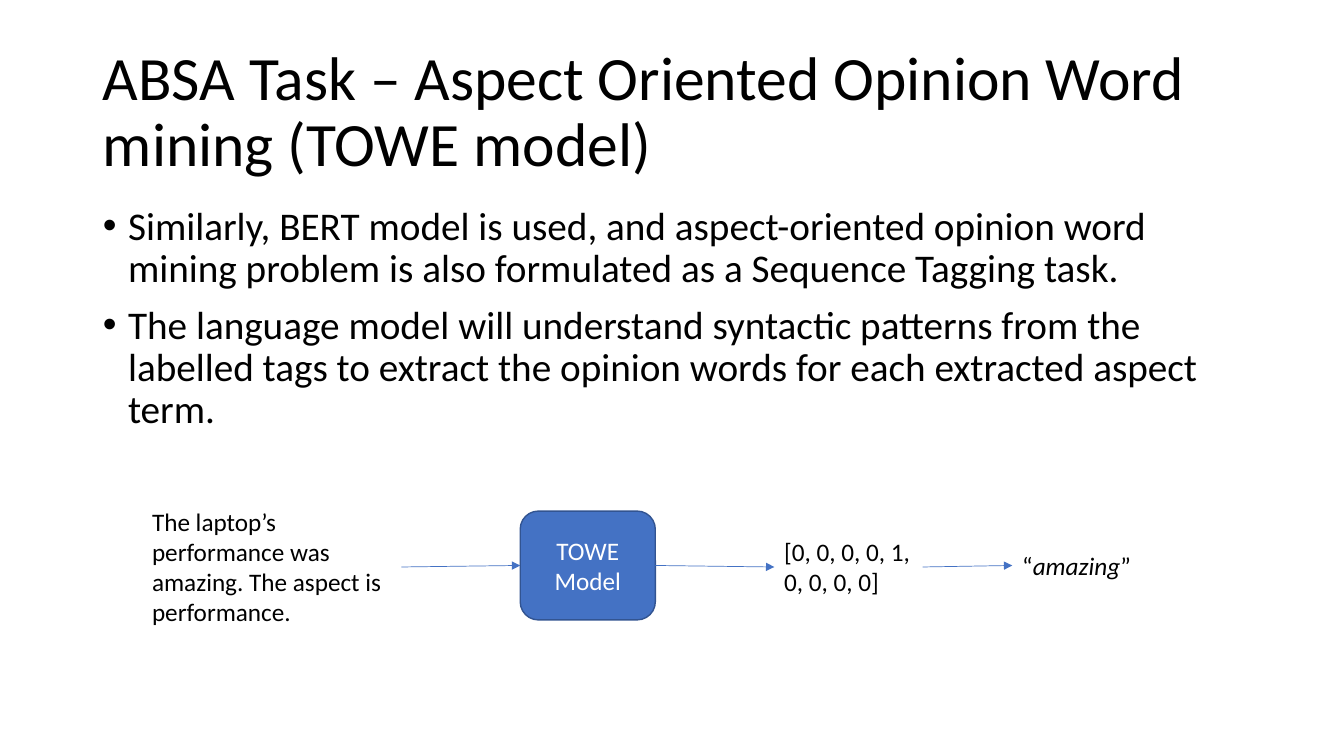
"""Builds a slide on opinion word mining with the TOWE model."""
import pptx
import pptx.dml.color
import pptx.enum.shapes
import pptx.enum.text
import pptx.oxml
import pptx.oxml.ns
import pptx.util

PX = 9144
SIZE = (1333, 750)
FONT = "Calibri"
BLACK, WHITE, BLUE, NAVY = "000000", "FFFFFF", "4472C4", "325491"

TITLE = "ABSA Task – Aspect Oriented Opinion Word mining (TOWE model)"
TITLE_BOX = (92, 40, 1150, 145)
BULLETS = [
    "Similarly, BERT model is used, and aspect-oriented opinion word mining "
    "problem is also formulated as a Sequence Tagging task.",
    "The language model will understand syntactic patterns from the labelled "
    "tags to extract the opinion words for each extracted aspect term.",
]
BODY_BOX = (92, 200, 1150, 254)
STEPS = [
    ("text", (141, 497, 257, 131),
     [("The laptop’s performance was amazing. The aspect is performance.", False)]),
    ("model", (516, 507, 134, 108), [("TOWE Model", False)]),
    ("text", (768, 527, 147, 71), [("[0, 0, 0, 0, 1, 0, 0, 0, 0]", False)]),
    ("text", (1004, 541, 199, 40),
     [("“", False), ("amazing", True), ("”", False)]),
]

ALIGN = pptx.enum.text.PP_ALIGN
ANCHOR = pptx.enum.text.MSO_ANCHOR


def emu(box):
    return [pptx.util.Emu(v * PX) for v in box]


def rgb(value):
    return pptx.dml.color.RGBColor.from_string(value)


def place(s, box):
    s.left, s.top, s.width, s.height = emu(box)


def add_xml(parent, xml):
    ns = pptx.oxml.ns.nsdecls("a")
    parent.append(pptx.oxml.parse_xml(xml.replace("/>", f" {ns}/>", 1)))


def write(p, text, size=18, color=BLACK, italic=False, align=ALIGN.LEFT,
          spacing=None, before=0):
    p.alignment = align
    p.line_spacing = spacing
    p.space_before = pptx.util.Pt(before)
    r = p.add_run()
    r.text = text
    r.font.name, r.font.size = FONT, pptx.util.Pt(size)
    r.font.italic, r.font.bold = italic, False
    r.font.color.rgb = rgb(color)


def fill_placeholder(s, box, lines, size, anchor, bullet=False):
    place(s, box)
    tf = s.text_frame
    tf.auto_size = pptx.enum.text.MSO_AUTO_SIZE.NONE
    tf.vertical_anchor = anchor
    for i, line in enumerate(lines):
        p = tf.add_paragraph() if i else tf.paragraphs[0]
        write(p, line, size=size, spacing=0.9, before=10 if i else 0)
        if bullet:
            pPr = p._p.get_or_add_pPr()
            pPr.set("marL", str(25 * PX))
            pPr.set("indent", str(-25 * PX))
            add_xml(pPr, '<a:buFont typeface="Arial"/>')
            add_xml(pPr, '<a:buChar char="•"/>')


def add_step(slide, kind, box, runs):
    if kind == "model":
        s = slide.shapes.add_shape(
            pptx.enum.shapes.MSO_SHAPE.ROUNDED_RECTANGLE, *emu(box))
        s.shadow.inherit = False
        s.fill.solid()
        s.fill.fore_color.rgb = rgb(BLUE)
        s.line.color.rgb = rgb(NAVY)
        s.line.width = pptx.util.Pt(1)
        s.text_frame.vertical_anchor = ANCHOR.MIDDLE
        style = dict(color=WHITE, align=ALIGN.CENTER)
    else:
        s = slide.shapes.add_textbox(*emu(box))
        s.text_frame.auto_size = pptx.enum.text.MSO_AUTO_SIZE.SHAPE_TO_FIT_TEXT
        style = {}
    s.text_frame.word_wrap = True
    for text, italic in runs:
        write(s.text_frame.paragraphs[0], text, italic=italic, **style)
    return s


def add_arrow(slide, start, end):
    c = slide.shapes.add_connector(
        pptx.enum.shapes.MSO_CONNECTOR.STRAIGHT, 0, 0, 0, 0)
    c.begin_connect(start, 3)
    c.end_connect(end, 1)
    c.line.color.rgb = rgb(BLUE)
    c.line.width = pptx.util.Pt(0.5)
    add_xml(c.line._get_or_add_ln(), '<a:tailEnd type="triangle"/>')
    add_xml(c._element.spPr, "<a:effectLst/>")


def main():
    prs = pptx.Presentation()
    prs.slide_width, prs.slide_height = emu(SIZE)
    slide = prs.slides.add_slide(prs.slide_layouts[1])
    title, body = slide.placeholders
    fill_placeholder(title, TITLE_BOX, [TITLE], 44, ANCHOR.MIDDLE)
    fill_placeholder(body, BODY_BOX, BULLETS, 28, ANCHOR.TOP, bullet=True)
    steps = [add_step(slide, *step) for step in STEPS]
    for start, end in zip(steps, steps[1:]):
        add_arrow(slide, start, end)
    prs.save("out.pptx")


if __name__ == "__main__":
    main()
